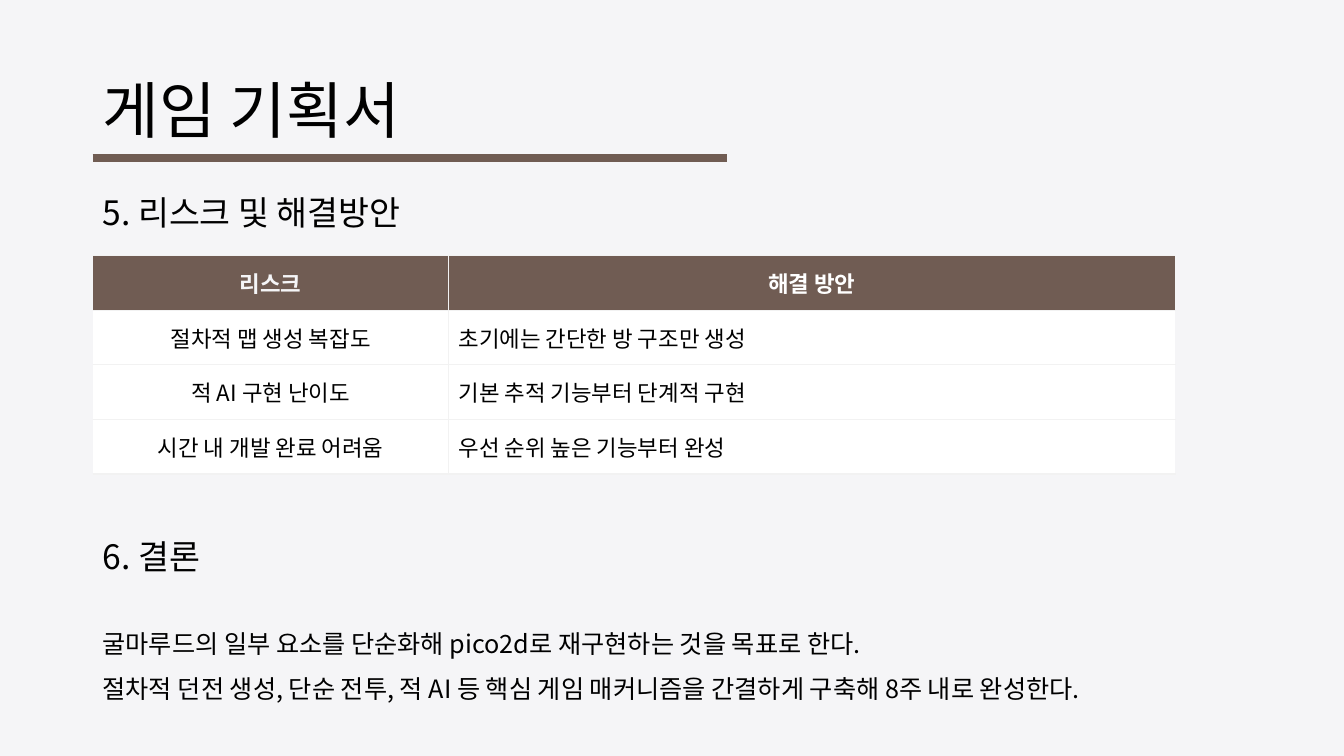
from lxml import etree
from pptx import Presentation
from pptx.dml.color import RGBColor
from pptx.enum import shapes, text
from pptx.oxml import ns
from pptx.util import Pt

FONT = "Noto Sans CJK KR"
COLORS = {
    "background": "F5F5F7",
    "brown": "705C53",
    "black": "000000",
    "white": "FFFFFF",
    "grid": "F2F2F2",
}
LEFT = 66.24
TABLE_ROWS = [
    ("리스크", "해결 방안"),
    ("절차적 맵 생성 복잡도", "초기에는 간단한 방 구조만 생성"),
    ("적 AI 구현 난이도", "기본 추적 기능부터 단계적 구현"),
    ("시간 내 개발 완료 어려움", "우선 순위 높은 기능부터 완성"),
]
COLUMN_WIDTHS = (254.2, 519.1)
ROW_HEIGHT = 39.06


def rgb(name):
    return RGBColor.from_string(COLORS[name])


def format_paragraph(p, size, color="black", bold=False):
    """Give every run its size, colour and both Latin and Korean fonts."""
    for r in p.runs:
        r.font.size = Pt(size)
        r.font.bold = bold
        r.font.color.rgb = rgb(color)
        r.font.name = FONT
        ea = etree.SubElement(r.font._element, ns.qn("a:ea"))
        ea.set("typeface", FONT)


def add_text(slide, box, paragraphs, anchor=text.MSO_ANCHOR.TOP, wrap=False):
    """Add a text box; paragraphs are (text, size, line spacing, space before)."""
    tf = slide.shapes.add_textbox(*map(Pt, box)).text_frame
    tf.word_wrap = wrap
    tf.vertical_anchor = anchor
    for i, (line, size, spacing, before) in enumerate(paragraphs):
        p = tf.add_paragraph() if i else tf.paragraphs[0]
        p.text = line
        p.line_spacing = spacing
        p.space_before = Pt(before)
        format_paragraph(p, size)


def add_rule(slide, x1, x2, y):
    line = slide.shapes.add_connector(
        shapes.MSO_CONNECTOR.STRAIGHT, Pt(x1), Pt(y), Pt(x2), Pt(y))
    line.line.color.rgb = rgb("brown")
    line.line.width = Pt(6)
    etree.SubElement(line._element.spPr, ns.qn("a:effectLst"))


def set_border(cell, side, color):
    tc_pr = cell._tc.get_or_add_tcPr()
    ln = etree.SubElement(tc_pr, ns.qn(f"a:ln{side}"), w=str(Pt(1)))
    if color is None:
        etree.SubElement(ln, ns.qn("a:noFill"))
        return
    fill = etree.SubElement(ln, ns.qn("a:solidFill"))
    etree.SubElement(fill, ns.qn("a:srgbClr"), val=COLORS[color])


def format_cell(cell, row, column):
    header, first = row == 0, column == 0
    set_border(cell, "L", None if first else "grid")
    set_border(cell, "R", "grid" if first else "background")
    set_border(cell, "T", "grid")
    set_border(cell, "B", "grid")
    cell.fill.solid()
    cell.fill.fore_color.rgb = rgb("brown" if header else "white")
    cell.vertical_anchor = text.MSO_ANCHOR.MIDDLE
    p = cell.text_frame.paragraphs[0]
    centred = header or first
    p.alignment = text.PP_ALIGN.CENTER if centred else text.PP_ALIGN.LEFT
    header_color = "background" if first else "white"
    format_paragraph(p, 16, header_color if header else "black", header)


def add_risk_table(slide, x, y):
    table = slide.shapes.add_table(
        len(TABLE_ROWS), len(COLUMN_WIDTHS), Pt(x), Pt(y),
        Pt(sum(COLUMN_WIDTHS)), Pt(ROW_HEIGHT * len(TABLE_ROWS))).table
    table.first_row = table.horz_banding = False
    for column, width in zip(table.columns, COLUMN_WIDTHS):
        column.width = Pt(width)
    for i, values in enumerate(TABLE_ROWS):
        table.rows[i].height = Pt(ROW_HEIGHT)
        for j, value in enumerate(values):
            cell = table.cell(i, j)
            cell.text_frame.text = value
            format_cell(cell, i, j)


def main():
    prs = Presentation()
    prs.slide_width, prs.slide_height = Pt(960), Pt(540)
    slide = prs.slides.add_slide(prs.slide_layouts[6])
    slide.background.fill.solid()
    slide.background.fill.fore_color.rgb = rgb("background")

    add_text(slide, (LEFT, 28.8, 828, 104.4), [("게임 기획서", 44, 0.9, 0)],
             text.MSO_ANCHOR.MIDDLE, wrap=True)
    add_rule(slide, LEFT, 519.6, 113)
    add_text(slide, (LEFT, 133.2, 252.7, 36),
             [("5. 리스크 및 해결방안", 24, 1.0, 0)])
    add_risk_table(slide, LEFT, 182.5)
    add_text(slide, (LEFT, 379.4, 765.4, 120.2), [
        ("6. 결론", 24, 1.0, 0),
        ("굴마루드의 일부 요소를 단순화해 pico2d로 재구현하는 것을 목표로 한다.",
         18, 1.5, 26),
        ("절차적 던전 생성, 단순 전투, 적 AI 등 핵심 게임 매커니즘을 "
         "간결하게 구축해 8주 내로 완성한다.", 18, 1.5, 0),
    ])
    prs.save("out.pptx")


if __name__ == "__main__":
    main()
